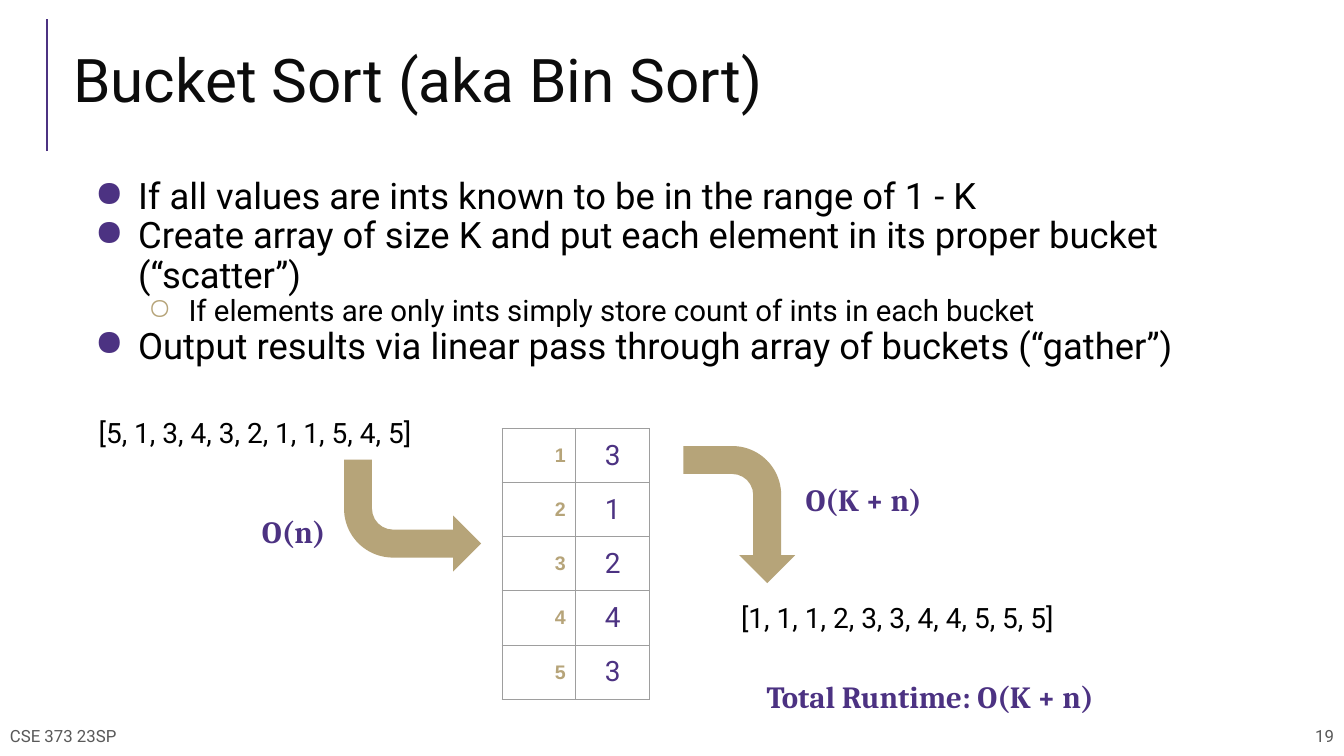
from typing import NamedTuple

from lxml import etree
from pptx import Presentation
from pptx.dml.color import RGBColor
from pptx.enum.shapes import MSO_CONNECTOR, MSO_SHAPE
from pptx.enum.text import MSO_ANCHOR, MSO_AUTO_SIZE, PP_ALIGN
from pptx.oxml.ns import qn
from pptx.util import Inches, Length, Pt

PURPLE = RGBColor(0x4C, 0x32, 0x82)
GOLD = RGBColor(0xB6, 0xA4, 0x79)
BLACK = RGBColor(0, 0, 0)
INK = RGBColor(0x0C, 0x0C, 0x0C)
GREY = RGBColor(0x59, 0x59, 0x59)
RULE = RGBColor(0x9E, 0x9E, 0x9E)

LEFT, CENTER, RIGHT = PP_ALIGN.LEFT, PP_ALIGN.CENTER, PP_ALIGN.RIGHT
TOP, MIDDLE = MSO_ANCHOR.TOP, MSO_ANCHOR.MIDDLE
NO_FIT = MSO_AUTO_SIZE.NONE
BENT = MSO_SHAPE.BENT_ARROW
STRAIGHT = MSO_CONNECTOR.STRAIGHT

WIDTH, HEIGHT = Inches(13.333), Inches(7.5)


class Style(NamedTuple):
    font: str
    size: float
    color: RGBColor
    bold: bool = False


class Box(NamedTuple):
    """Left, top, width and height in percent of the slide's size."""
    x: float
    y: float
    w: float
    h: float


class Label(NamedTuple):
    text: str
    box: Box
    style: Style
    align: PP_ALIGN = LEFT
    anchor: MSO_ANCHOR = TOP


class Point(NamedTuple):
    text: str
    level: int = 0


class Bullet(NamedTuple):
    mark: str
    color: RGBColor
    size: float
    indent: float
    hang: float


class Arrow(NamedTuple):
    box: Box
    turn: int
    flip: bool = False


HEAD = Style("Roboto", 43, INK)
FOOT = Style("Roboto", 12, GREY)
LIST = Style("Roboto", 20, BLACK)
COST = Style("Cambria", 22, PURPLE, True)
INDEX = Style("Arial", 14, GOLD, True)
COUNT = Style("Roboto", 20, PURPLE)

LABELS = [
    Label("CSE 373 23SP", Box(0, 94.67, 35.1, 5.33), FOOT, LEFT, MIDDLE),
    Label("19", Box(64.9, 94.67, 35.1, 5.33), FOOT, RIGHT, MIDDLE),
    Label("[5, 1, 3, 4, 3, 2, 1, 1, 5, 4, 5]", Box(6.6, 53.6, 25.65, 7.2), LIST),
    Label("[1, 1, 1, 2, 3, 3, 4, 4, 5, 5, 5]", Box(54.4, 78.13, 25.65, 7.2), LIST),
    Label("O(n)", Box(18.75, 66.53, 8.3, 7.6), COST),
    Label("O(K + n)", Box(59.2, 62.27, 15.8, 7.6), COST),
    Label("Total Runtime: O(K + n)", Box(56.3, 88.27, 30.7, 7.6), COST),
]
BULLETS = [Bullet("●", PURPLE, 26, 0.5, 0.43), Bullet("○", GOLD, 21, 1, 0.4)]
POINTS = [
    Point("If all values are ints known to be in the range of 1 - K"),
    Point("Create array of size K and put each element in its proper bucket (“scatter”)"),
    Point("If elements are only ints simply store count of ints in each bucket", 1),
    Point("Output results via linear pass through array of buckets (“gather”)"),
]
ARROWS = [
    Arrow(Box(25.6, 60.8, 10.2, 14.8), 180, True),
    Arrow(Box(49.9, 60.67, 10.2, 14.8), 90),
]
COUNTS = [3, 1, 2, 4, 3]
TABLE = Box(37.35, 56.67, 11, 35.85)


def place(box: Box) -> tuple[Length, ...]:
    return (Length(WIDTH * box.x / 100), Length(HEIGHT * box.y / 100),
            Length(WIDTH * box.w / 100), Length(HEIGHT * box.h / 100))


def inset(frame, side: float, edge: float) -> None:
    frame.margin_left = frame.margin_right = Inches(side)
    frame.margin_top = frame.margin_bottom = Inches(edge)


def write(para, text: str, style: Style, align: PP_ALIGN = LEFT) -> None:
    para.alignment = align
    run = para.add_run()
    run.text = text
    font = run.font
    font.name, font.size, font.bold = style.font, Pt(style.size), style.bold
    font.color.rgb = style.color


def add_title(slide, text: str) -> None:
    title = slide.shapes.title
    title.left, title.top, title.width, title.height = place(Box(4.7, 3.87, 91.7, 14.8))
    frame = title.text_frame
    frame.auto_size, frame.vertical_anchor = NO_FIT, MIDDLE
    inset(frame, 0.1, 0.05)
    para = frame.paragraphs[0]
    para.line_spacing = 0.8
    write(para, text, HEAD)


def add_frame(slide, box: Box, pad: float):
    frame = slide.shapes.add_textbox(*place(box)).text_frame
    frame.word_wrap = True
    inset(frame, pad, pad)
    return frame


def add_label(slide, label: Label) -> None:
    frame = add_frame(slide, label.box, 0.1)
    frame.vertical_anchor = label.anchor
    write(frame.paragraphs[0], label.text, label.style, label.align)


def add_points(slide) -> None:
    frame = add_frame(slide, Box(6.15, 22.93, 88.8, 26.53), 0.05)
    for i, point in enumerate(POINTS):
        para = frame.add_paragraph() if i else frame.paragraphs[0]
        bullet = BULLETS[point.level]
        para.level = point.level
        props = para._p.get_or_add_pPr()
        props.set("marL", str(Inches(bullet.indent)))
        props.set("indent", str(-Inches(bullet.hang)))
        tint = etree.SubElement(props, qn("a:buClr"))
        etree.SubElement(tint, qn("a:srgbClr"), val=str(bullet.color))
        etree.SubElement(props, qn("a:buChar"), char=bullet.mark)
        para.line_spacing = 0.9
        write(para, point.text, Style("Roboto", bullet.size, BLACK))


def add_border(cell) -> None:
    props = cell._tc.get_or_add_tcPr()
    for i, side in enumerate(("a:lnL", "a:lnR", "a:lnT", "a:lnB")):
        line = etree.Element(qn(side), w=str(Pt(0.75)))
        fill = etree.SubElement(line, qn("a:solidFill"))
        etree.SubElement(fill, qn("a:srgbClr"), val=str(RULE))
        props.insert(i, line)


def add_buckets(slide) -> None:
    table = slide.shapes.add_table(len(COUNTS), 2, *place(TABLE)).table
    table.first_row = table.horz_banding = False
    for i, count in enumerate(COUNTS):
        pair = ((i + 1, INDEX, RIGHT), (count, COUNT, CENTER))
        for j, (value, style, align) in enumerate(pair):
            cell = table.cell(i, j)
            cell.fill.background()
            cell.vertical_anchor = MIDDLE
            inset(cell, 0.1, 0.1)
            write(cell.text_frame.paragraphs[0], str(value), style, align)
            add_border(cell)


def add_arrow(slide, arrow: Arrow) -> None:
    shape = slide.shapes.add_shape(BENT, *place(arrow.box))
    shape.shadow.inherit = False
    shape.fill.solid()
    shape.fill.fore_color.rgb = GOLD
    shape.line.fill.background()
    shape.rotation = arrow.turn
    if arrow.flip:
        shape._element.spPr.find(qn("a:xfrm")).set("flipH", "1")


def add_bar(slide) -> None:
    x, top, _, drop = place(Box(3.5, 2.5, 0, 17.5))
    bar = slide.shapes.add_connector(STRAIGHT, x, top + drop, x, top)
    bar.line.color.rgb = PURPLE
    bar.line.width = Pt(1.5)
    etree.SubElement(bar._element.spPr, qn("a:effectLst"))


def main() -> None:
    deck = Presentation()
    deck.slide_width, deck.slide_height = WIDTH, HEIGHT
    slide = deck.slides.add_slide(deck.slide_layouts[5])
    add_bar(slide)
    add_title(slide, "Bucket Sort (aka Bin Sort)")
    add_points(slide)
    add_buckets(slide)
    for arrow in ARROWS:
        add_arrow(slide, arrow)
    for label in LABELS:
        add_label(slide, label)
    deck.save("out.pptx")


if __name__ == "__main__":
    main()
